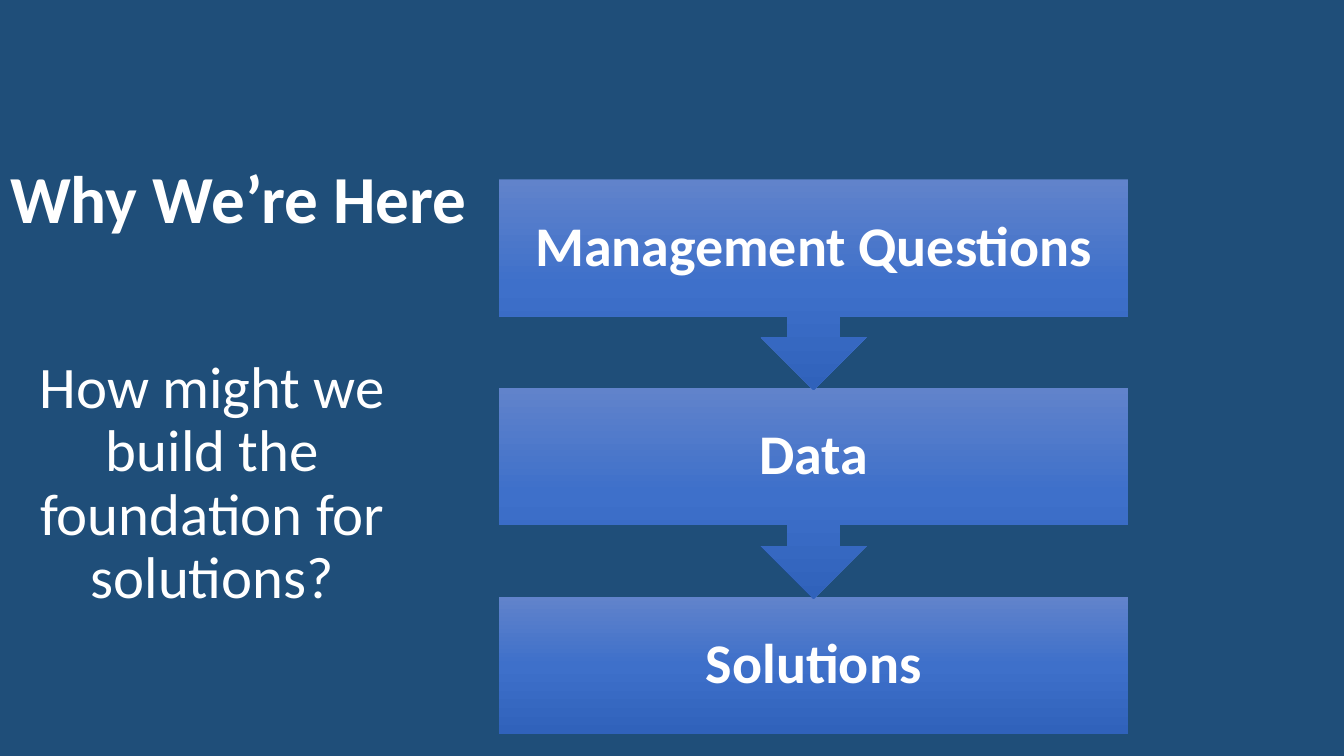
from copy import deepcopy
from dataclasses import dataclass

from pptx import Presentation
from pptx.dml.color import RGBColor
from pptx.dml.fill import FillFormat
from pptx.enum.shapes import MSO_SHAPE
from pptx.enum.text import MSO_ANCHOR, MSO_AUTO_SIZE, PP_ALIGN
from pptx.shapes.autoshape import Shape
from pptx.slide import Slide
from pptx.util import Inches, Pt

NAVY = RGBColor(0x1F, 0x4E, 0x79)
WHITE = RGBColor(0xFF, 0xFF, 0xFF)
LIGHT_BLUE = RGBColor(0x61, 0x83, 0xCB)
MIDDLE_BLUE = RGBColor(0x3E, 0x70, 0xCA)
DARK_BLUE = RGBColor(0x30, 0x62, 0xBB)

FONT_NAME = "Calibri"
STEP_LEFT, STEP_TOP, STEP_WIDTH, STEP_PITCH = 4.95, 1.78, 6.24, 2.07
BOX_HEIGHT, CALLOUT_HEIGHT = 1.36, 2.09


@dataclass(frozen=True)
class Step:
    label: str
    preset: MSO_SHAPE
    height: float


STEPS = [
    Step("Management Questions", MSO_SHAPE.DOWN_ARROW_CALLOUT, CALLOUT_HEIGHT),
    Step("Data", MSO_SHAPE.DOWN_ARROW_CALLOUT, CALLOUT_HEIGHT),
    Step("Solutions", MSO_SHAPE.RECTANGLE, BOX_HEIGHT),
]


def write_text(shape: Shape, text: str, size: int, bold: bool, alignment: PP_ALIGN) -> None:
    frame = shape.text_frame
    frame.text = text
    frame.word_wrap = True
    frame.auto_size = MSO_AUTO_SIZE.NONE
    frame.vertical_anchor = MSO_ANCHOR.MIDDLE
    paragraph = frame.paragraphs[0]
    paragraph.alignment = alignment
    paragraph.line_spacing = 0.9
    paragraph.font.name = FONT_NAME
    paragraph.font.size = Pt(size)
    paragraph.font.bold = bold
    paragraph.font.color.rgb = WHITE


def fill_step(fill: FillFormat) -> None:
    fill.gradient()
    fill.gradient_angle = 270
    last_stop = fill.gradient_stops[1]._element
    last_stop.addnext(deepcopy(last_stop))
    colors = (LIGHT_BLUE, MIDDLE_BLUE, DARK_BLUE)
    for stop, color, position in zip(fill.gradient_stops, colors, (0, 0.5, 1)):
        stop.color.rgb = color
        stop.position = position


def add_plain_shape(slide: Slide, preset: MSO_SHAPE, left: float, top: float,
                    width: float, height: float) -> Shape:
    shape = slide.shapes.add_shape(
        preset, Inches(left), Inches(top), Inches(width), Inches(height))
    shape.shadow.inherit = False
    shape.line.fill.background()
    return shape


def add_header_band(slide: Slide) -> None:
    band = add_plain_shape(slide, MSO_SHAPE.RECTANGLE, 0, 0, 13.33, 4.63)
    band.fill.solid()
    band.fill.fore_color.rgb = NAVY
    slide.shapes.title._element.addprevious(band._element)


def add_title(slide: Slide) -> None:
    title = slide.shapes.title
    title.left, title.top = Inches(0), Inches(1.28)
    title.width, title.height = Inches(11.5), Inches(1.45)
    write_text(title, "Why We’re Here", 48, True, PP_ALIGN.LEFT)


def add_question(slide: Slide) -> None:
    question = slide.shapes.add_textbox(
        Inches(-0.15), Inches(2.19), Inches(4.51), Inches(5.93))
    write_text(question, "How might we build the foundation for solutions?",
               42, False, PP_ALIGN.CENTER)
    question.text_frame.margin_bottom = Inches(0.75)


def add_step(slide: Slide, step: Step, top: float) -> None:
    shape = add_plain_shape(slide, step.preset, STEP_LEFT, top, STEP_WIDTH, step.height)
    fill_step(shape.fill)
    write_text(shape, step.label, 40, True, PP_ALIGN.CENTER)
    frame = shape.text_frame
    frame.margin_left = frame.margin_right = Inches(0.31)
    frame.margin_top = frame.margin_bottom = Inches(0.31)


def main() -> None:
    presentation = Presentation()
    presentation.slide_width = Inches(13.33)
    presentation.slide_height = Inches(7.5)
    slide = presentation.slides.add_slide(presentation.slide_layouts[5])
    slide.background.fill.solid()
    slide.background.fill.fore_color.rgb = NAVY
    add_header_band(slide)
    add_title(slide)
    add_question(slide)
    for index, step in reversed(list(enumerate(STEPS))):
        add_step(slide, step, STEP_TOP + index * STEP_PITCH)
    presentation.save("out.pptx")


if __name__ == "__main__":
    main()
